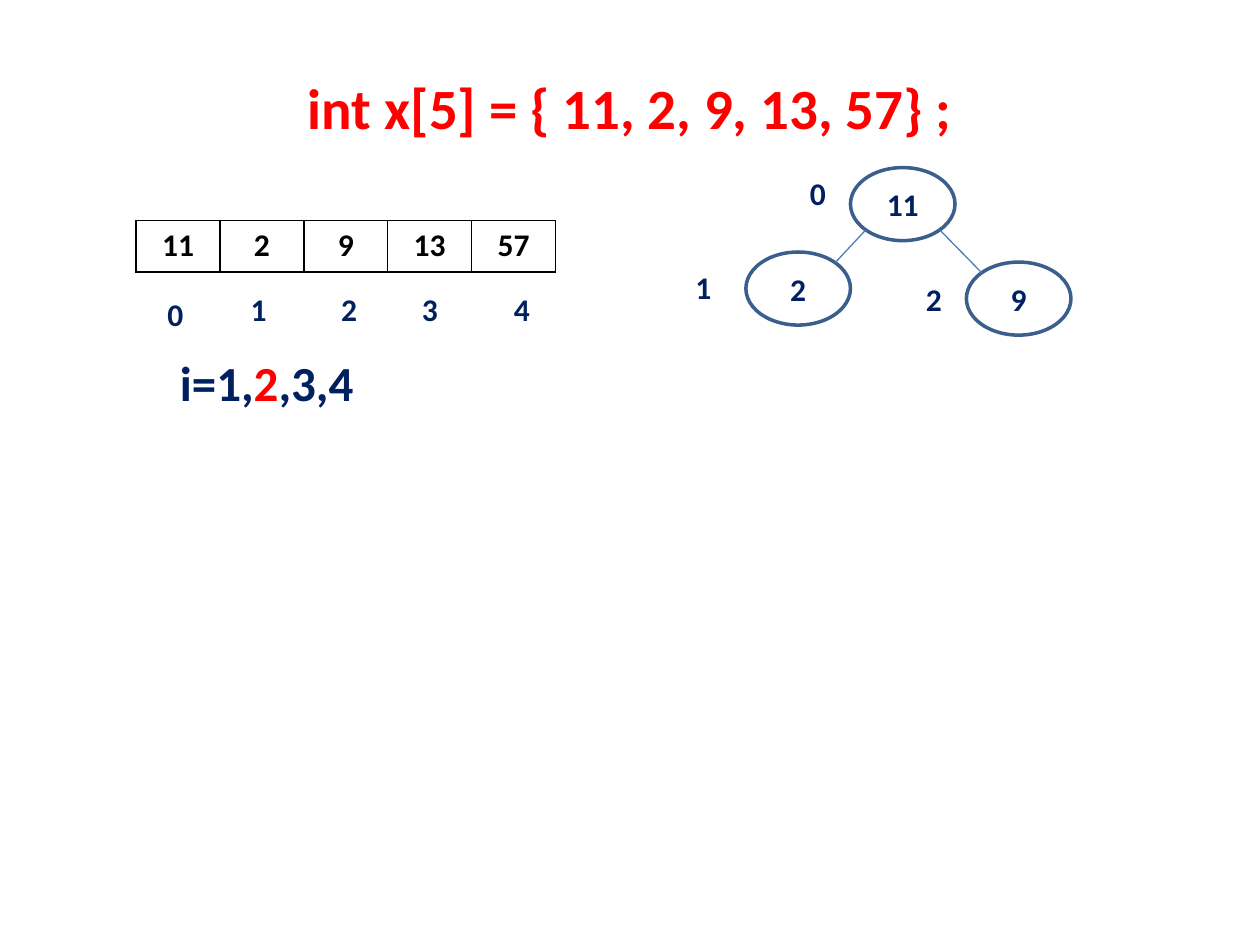
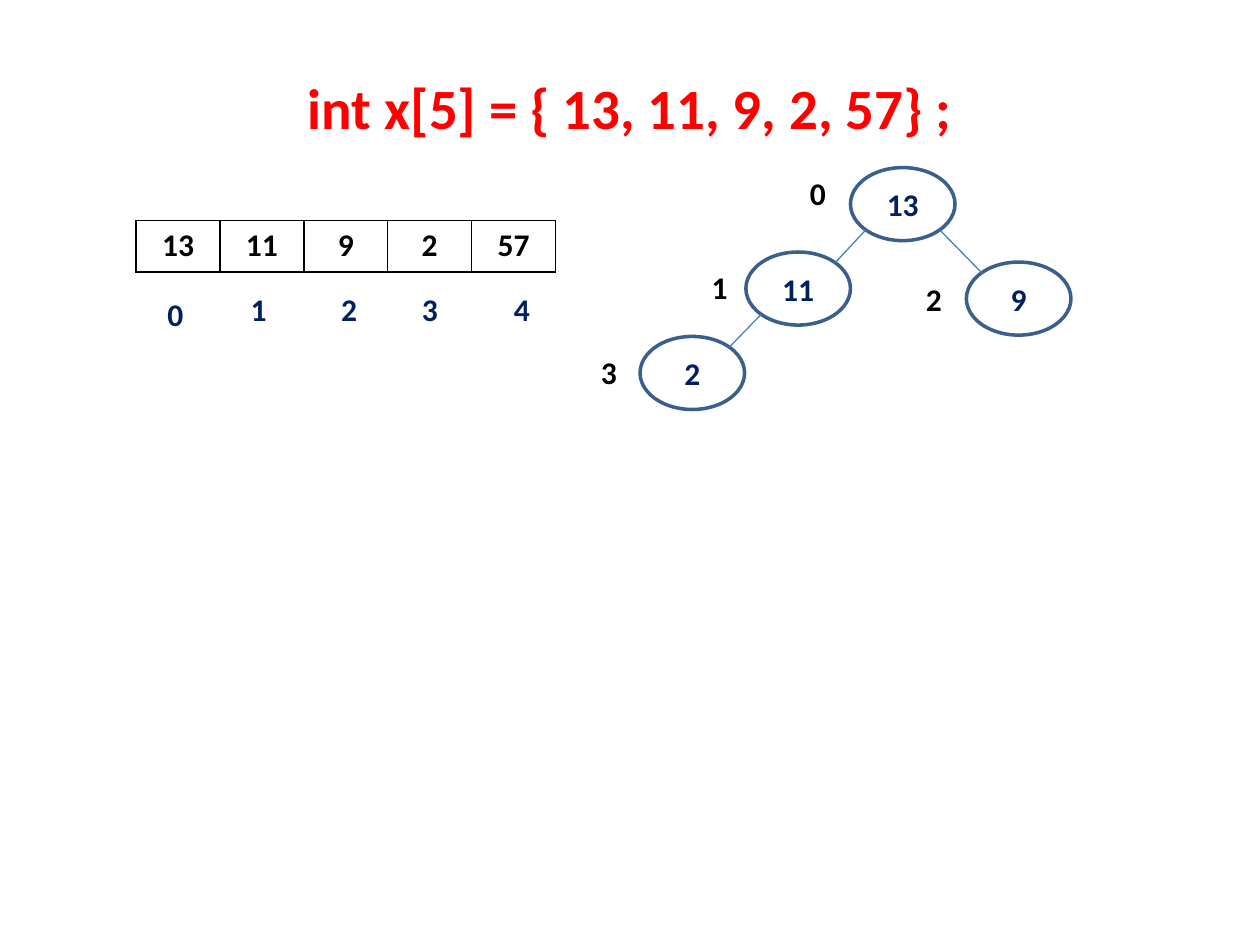
from math import sqrt
from typing import NamedTuple

from lxml import etree
from pptx import Presentation
from pptx.dml.color import RGBColor
from pptx.enum.shapes import MSO_CONNECTOR, MSO_SHAPE
from pptx.enum.text import MSO_ANCHOR, MSO_AUTO_SIZE, PP_ALIGN
from pptx.oxml.ns import qn
from pptx.util import Emu, Pt

LEFT, CENTER = PP_ALIGN.LEFT, PP_ALIGN.CENTER
TOP, MIDDLE = MSO_ANCHOR.TOP, MSO_ANCHOR.MIDDLE
NO_AUTOFIT = MSO_AUTO_SIZE.NONE
OVAL = MSO_SHAPE.OVAL
STRAIGHT = MSO_CONNECTOR.STRAIGHT

WHITE = RGBColor(0xFF, 0xFF, 0xFF)
BLACK = RGBColor(0x00, 0x00, 0x00)
RED = RGBColor(0xFF, 0x00, 0x00)
NAVY = RGBColor(0x00, 0x20, 0x60)
NODE_LINE = RGBColor(0x3A, 0x5F, 0x8C)
EDGE_LINE = RGBColor(0x4B, 0x7E, 0xBC)

FONT = "Calibri"
PX_PER_INCH = 100
TITLE_ONLY = 5
NODE_W, NODE_H = 83, 58
LABEL_W, LABEL_H = 34, 40


class Point(NamedTuple):
    x: int
    y: int


class Node(NamedTuple):
    pos: Point
    label: Point


class Step(NamedTuple):
    values: list[int]
    nodes: list[Node]
    label_color: RGBColor
    counter: list[tuple[str, RGBColor]]


ROOT = Node(Point(675, 133), Point(633, 133))
LEFT_CHILD = Node(Point(592, 200), Point(542, 208))
RIGHT_CHILD = Node(Point(767, 208), Point(725, 217))
LEFT_GRANDCHILD = Node(Point(508, 267), Point(467, 275))

INDEX_LABELS = [Point(123, 229), Point(189, 225), Point(261, 225),
                Point(325, 225), Point(398, 225)]

STEPS = [
    Step([11, 2, 9, 13, 57], [ROOT, LEFT_CHILD, RIGHT_CHILD], NAVY,
         [("i=1,", NAVY), ("2", RED), (",3,4", NAVY)]),
    Step([13, 11, 9, 2, 57],
         [ROOT, LEFT_CHILD._replace(label=Point(555, 208)), RIGHT_CHILD,
          LEFT_GRANDCHILD], BLACK, []),
]


def px(n: float) -> Emu:
    return Emu(round(n * 914400 / PX_PER_INCH))


def write(tf, text: str, *, size: float = 18, color: RGBColor = NAVY,
          align=LEFT, anchor=TOP) -> None:
    tf.word_wrap = True
    tf.vertical_anchor = anchor
    p = tf.paragraphs[0]
    p.alignment = align
    r = p.add_run()
    r.text = text
    r.font.name = FONT
    r.font.size = Pt(size)
    r.font.bold = True
    r.font.color.rgb = color


def add_box(s, at: Point, w: int, h: int):
    return s.shapes.add_textbox(px(at.x), px(at.y), px(w), px(h)).text_frame


def add_label(s, at: Point, index: int, color: RGBColor) -> None:
    write(add_box(s, at, LABEL_W, LABEL_H), str(index), color=color)


def add_title(s, values: list[int]) -> None:
    sp = s.shapes.title
    sp.left, sp.top, sp.width, sp.height = px(50), px(30), px(900), px(125)
    tf = sp.text_frame
    tf.auto_size = NO_AUTOFIT
    tf.margin_top = px(28)
    items = ", ".join(map(str, values))
    write(tf, f"int x[{len(values)}] = {{ {items}}} ;", size=32.5,
          color=RED, align=CENTER)


def add_borders(cell) -> None:
    tc_pr = cell._tc.get_or_add_tcPr()
    for side in ("lnL", "lnR", "lnT", "lnB"):
        ln = etree.SubElement(tc_pr, qn(f"a:{side}"), w=str(Pt(1)))
        fill = etree.SubElement(ln, qn("a:solidFill"))
        etree.SubElement(fill, qn("a:srgbClr"), val=str(BLACK))


def add_array(s, values: list[int]) -> None:
    table = s.shapes.add_table(1, len(values), px(108), px(175), px(333),
                               px(41)).table
    table.first_row = False
    table.horz_banding = False
    for cell, value in zip(table.rows[0].cells, values):
        add_borders(cell)
        cell.fill.solid()
        cell.fill.fore_color.rgb = WHITE
        write(cell.text_frame, str(value), color=BLACK, align=CENTER)
    for i, at in enumerate(INDEX_LABELS):
        add_label(s, at, i, NAVY)


def add_node(s, node: Node, value: int) -> None:
    sp = s.shapes.add_shape(OVAL, px(node.pos.x), px(node.pos.y),
                            px(NODE_W), px(NODE_H))
    sp.shadow.inherit = False
    sp.fill.solid()
    sp.fill.fore_color.rgb = WHITE
    sp.line.color.rgb = NODE_LINE
    sp.line.width = Pt(2)
    write(sp.text_frame, str(value), align=CENTER, anchor=MIDDLE)


def diagonal_point(node: Node, dx: int, dy: int) -> tuple[Emu, Emu]:
    x = node.pos.x + NODE_W / 2 * (1 + dx / sqrt(2))
    y = node.pos.y + NODE_H / 2 * (1 + dy / sqrt(2))
    return px(x), px(y)


def add_edge(s, parent: Node, child: Node) -> None:
    side = 1 if child.pos.x > parent.pos.x else -1
    line = s.shapes.add_connector(STRAIGHT, *diagonal_point(parent, side, 1),
                                  *diagonal_point(child, -side, -1))
    line.line.color.rgb = EDGE_LINE
    line.line.width = Pt(0.75)
    etree.SubElement(line._element.spPr, qn("a:effectLst"))


def add_heap(s, step: Step) -> None:
    for i, node in enumerate(step.nodes):
        add_node(s, node, step.values[i])
        add_label(s, node.label, i, step.label_color)
        if i:
            add_edge(s, step.nodes[(i - 1) // 2], node)


def add_counter(s, parts: list[tuple[str, RGBColor]]) -> None:
    tf = add_box(s, Point(133, 275), 170, 57)
    for text, color in parts:
        write(tf, text, size=28, color=color)


def main() -> None:
    prs = Presentation()
    prs.slide_width, prs.slide_height = px(1000), px(750)
    for step in STEPS:
        s = prs.slides.add_slide(prs.slide_layouts[TITLE_ONLY])
        add_title(s, step.values)
        add_heap(s, step)
        add_array(s, step.values)
        if step.counter:
            add_counter(s, step.counter)
    prs.save("out.pptx")


if __name__ == "__main__":
    main()
